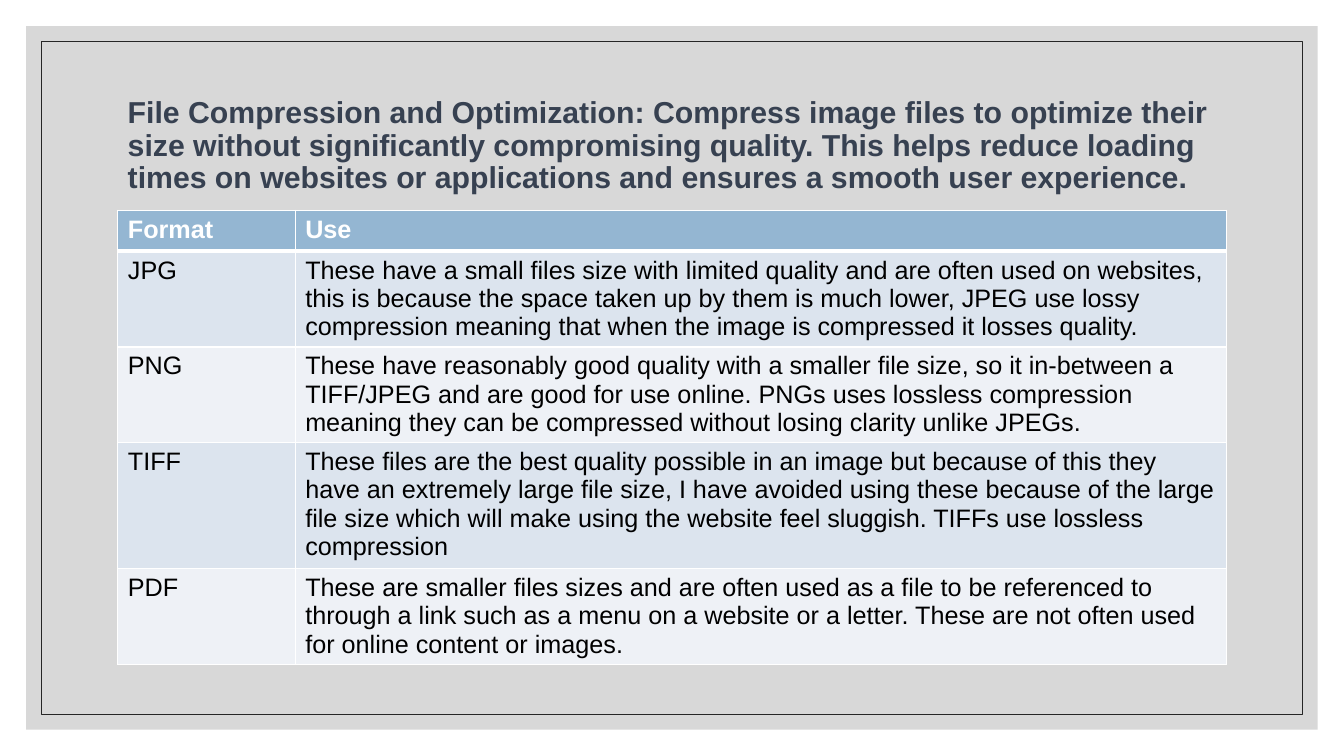
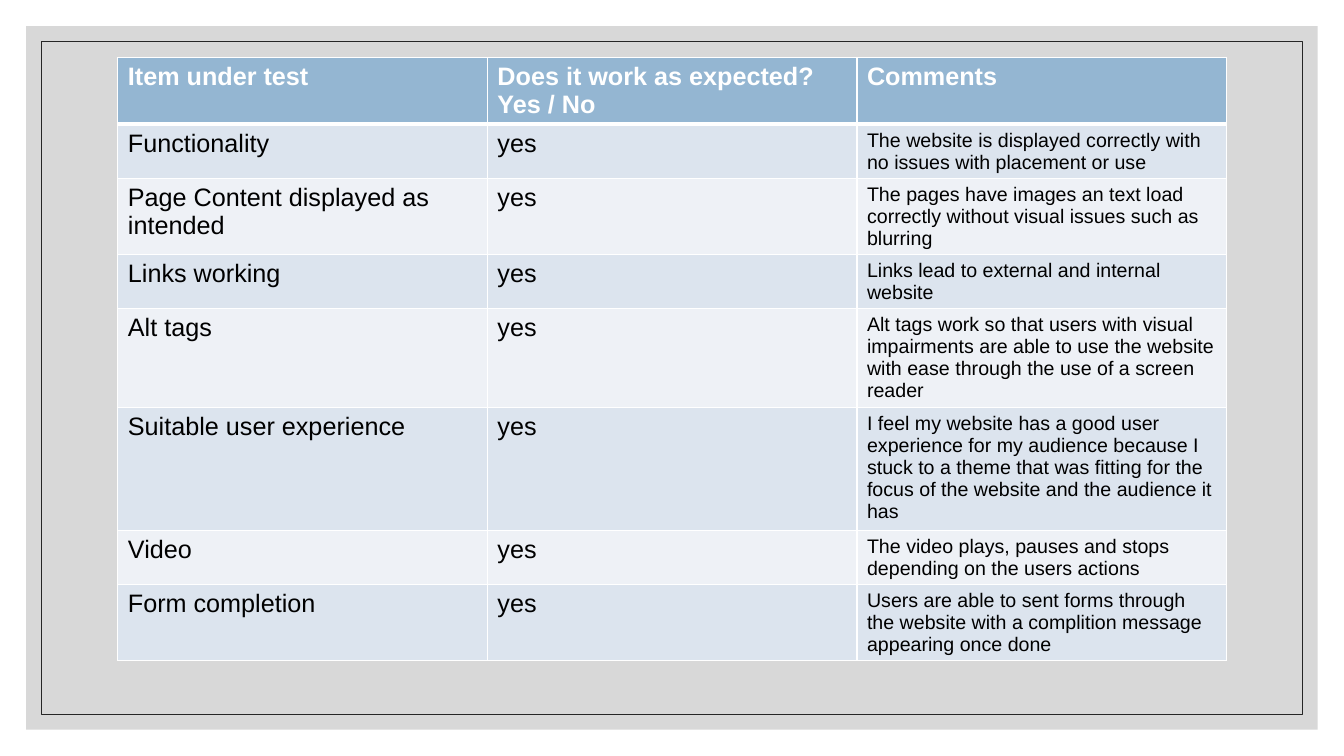
import dataclasses

import pptx
import pptx.dml.color
import pptx.enum.shapes
import pptx.enum.text
import pptx.oxml
import pptx.oxml.ns
import pptx.util
from pptx.util import Cm, Pt


# Content; "lines" counts the text lines that set the height of each row
SLIDES = [
    {
        "title": "File Compression and Optimization: Compress image files to optimize their "
                 "size without significantly compromising quality. This helps reduce loading "
                 "times on websites or applications and ensures a smooth user experience.",
        "table_top": 5.3,
        "columns": [4.47, 23.47],
        "sizes": [18, 18],
        "lines": [1, 3, 3, 4, 3],
        "rows": [
            ("Format", "Use"),
            ("JPG", "These have a small files size with limited quality and are often used on "
                    "websites, this is because the space taken up by them is much lower, JPEG "
                    "use lossy compression meaning that when the image is compressed it losses "
                    "quality."),
            ("PNG", "These have reasonably good quality with a smaller file size, so it "
                    "in-between a TIFF/JPEG and are good for use online. PNGs uses lossless "
                    "compression meaning they can be compressed without losing clarity unlike "
                    "JPEGs."),
            ("TIFF", "These files are the best quality possible in an image but because of this "
                     "they have an extremely large file size, I have avoided using these because "
                     "of the large file size which will make using the website feel sluggish. "
                     "TIFFs use lossless compression"),
            ("PDF", "These are smaller files sizes and are often used as a file to be referenced "
                    "to through a link such as a menu on a website or a letter. These are not "
                    "often used for online content or images."),
        ],
    },
    {
        "title": None,
        "table_top": 1.45,
        "columns": [27.94 / 3] * 3,
        "sizes": [18, 18, 14],
        "lines": [2, 2, 3, 2, 4, 5, 2, 3],
        "rows": [
            ("Item under test", "Does it work as expected? Yes / No", "Comments"),
            ("Functionality", "yes",
             "The website is displayed correctly with no issues with placement or use"),
            ("Page Content displayed as intended", "yes",
             "The pages have images an text load correctly without visual issues such as "
             "blurring"),
            ("Links working", "yes", "Links lead to external and internal website"),
            ("Alt tags", "yes",
             "Alt tags work so that users with visual impairments are able to use the website "
             "with ease through the use of a screen reader"),
            ("Suitable user experience", "yes",
             "I feel my website has a good user experience for my audience because I stuck to a "
             "theme that was fitting for the focus of the website and the audience it has"),
            ("Video", "yes", "The video plays, pauses and stops depending on the users actions"),
            ("Form completion", "yes",
             "Users are able to sent forms through the website with a complition message "
             "appearing once done"),
        ],
    },
]


# Theme and layout, lengths in centimetres
@dataclasses.dataclass(frozen=True)
class Theme:
    font: str = "Arial"
    title_size: float = 21.6
    header_size: float = 18
    title: str = "374151"
    panel: str = "BFBFBF"
    panel_opacity: int = 60
    frame: str = "262626"
    header: str = "94B6D2"
    bands: tuple = ("DCE4EE", "EEF1F6")
    white: str = "FFFFFF"
    text: str = "000000"


THEME = Theme()
SLIDE_WIDTH, SLIDE_HEIGHT = 33.87, 19.05
PANEL_INSET, FRAME_INSET = 0.66, 1.04
CONTENT_LEFT, CONTENT_WIDTH = 2.97, 27.94
TITLE_TOP, TITLE_HEIGHT = 1.78, 3.81
MIN_ROW_HEIGHT, ROW_PADDING = 1.03, 0.26
LINE_HEIGHT = 0.71 / 18  # per point of type size


def rgb(color):
    return pptx.dml.color.RGBColor.from_string(color)


def add_run(paragraph, text, size, color, bold=False):
    run = paragraph.add_run()
    run.text = text
    run.font.name = THEME.font
    run.font.size = Pt(size)
    run.font.bold = bold
    run.font.color.rgb = rgb(color)


# Backdrop: a pale panel with a thin frame inside it
def add_inset_rectangle(slide, inset):
    shape = slide.shapes.add_shape(
        pptx.enum.shapes.MSO_SHAPE.RECTANGLE, Cm(inset), Cm(inset),
        Cm(SLIDE_WIDTH - 2 * inset), Cm(SLIDE_HEIGHT - 2 * inset))
    shape.shadow.inherit = False
    return shape


def add_backdrop(slide):
    panel = add_inset_rectangle(slide, PANEL_INSET)
    panel.fill.solid()
    panel.fill.fore_color.rgb = rgb(THEME.panel)
    panel.line.fill.background()
    color = panel.fill._xPr.find(".//" + pptx.oxml.ns.qn("a:srgbClr"))
    alpha = pptx.oxml.parse_xml(
        f'<a:alpha {pptx.oxml.ns.nsdecls("a")} val="{THEME.panel_opacity * 1000}"/>')
    color.append(alpha)

    frame = add_inset_rectangle(slide, FRAME_INSET)
    frame.fill.background()
    frame.line.color.rgb = rgb(THEME.frame)
    frame.line.width = Pt(0.5)


def add_title(slide, text):
    box = slide.shapes.add_textbox(
        Cm(CONTENT_LEFT), Cm(TITLE_TOP), Cm(CONTENT_WIDTH), Cm(TITLE_HEIGHT))
    text_frame = box.text_frame
    text_frame.word_wrap = True
    text_frame.vertical_anchor = pptx.enum.text.MSO_ANCHOR.MIDDLE
    paragraph = text_frame.paragraphs[0]
    paragraph.line_spacing = 0.9
    add_run(paragraph, text, THEME.title_size, THEME.title, bold=True)


# Tables: blue header, two alternating bands, white rules
def set_borders(cell, top, bottom):
    properties = cell._tc.get_or_add_tcPr()
    widths = {"lnL": 1, "lnR": 1, "lnT": top, "lnB": bottom}
    for position, (side, width) in enumerate(widths.items()):
        border = pptx.oxml.parse_xml(
            f'<a:{side} {pptx.oxml.ns.nsdecls("a")} w="{Pt(width)}"><a:solidFill>'
            f'<a:srgbClr val="{THEME.white}"/></a:solidFill></a:{side}>')
        properties.insert(position, border)


def row_heights(content):
    sizes = [THEME.header_size] + [content["sizes"][-1]] * (len(content["rows"]) - 1)
    return [max(MIN_ROW_HEIGHT, count * size * LINE_HEIGHT + ROW_PADDING)
            for count, size in zip(content["lines"], sizes)]


def add_table(slide, content):
    rows, columns = content["rows"], content["columns"]
    heights = row_heights(content)
    table = slide.shapes.add_table(
        len(rows), len(columns), Cm(CONTENT_LEFT), Cm(content["table_top"]),
        Cm(CONTENT_WIDTH), Cm(sum(heights))).table
    table.horz_banding = False
    for column, width in zip(table.columns, columns):
        column.width = Cm(width)
    for row_index, row in enumerate(rows):
        table.rows[row_index].height = Cm(heights[row_index])
        is_header = row_index == 0
        fill = THEME.header if is_header else THEME.bands[(row_index - 1) % 2]
        color = THEME.white if is_header else THEME.text
        for column_index, text in enumerate(row):
            cell = table.cell(row_index, column_index)
            cell.margin_bottom = 0
            cell.fill.solid()
            cell.fill.fore_color.rgb = rgb(fill)
            set_borders(cell, top=3 if row_index == 1 else 1, bottom=3 if is_header else 1)
            size = THEME.header_size if is_header else content["sizes"][column_index]
            add_run(cell.text_frame.paragraphs[0], text, size, color, bold=is_header)


def main():
    presentation = pptx.Presentation()
    presentation.slide_width = Cm(SLIDE_WIDTH)
    presentation.slide_height = Cm(SLIDE_HEIGHT)
    blank_layout = presentation.slide_layouts[6]
    for content in SLIDES:
        slide = presentation.slides.add_slide(blank_layout)
        add_backdrop(slide)
        if content["title"]:
            add_title(slide, content["title"])
        add_table(slide, content)
    presentation.save("out.pptx")


if __name__ == "__main__":
    main()
